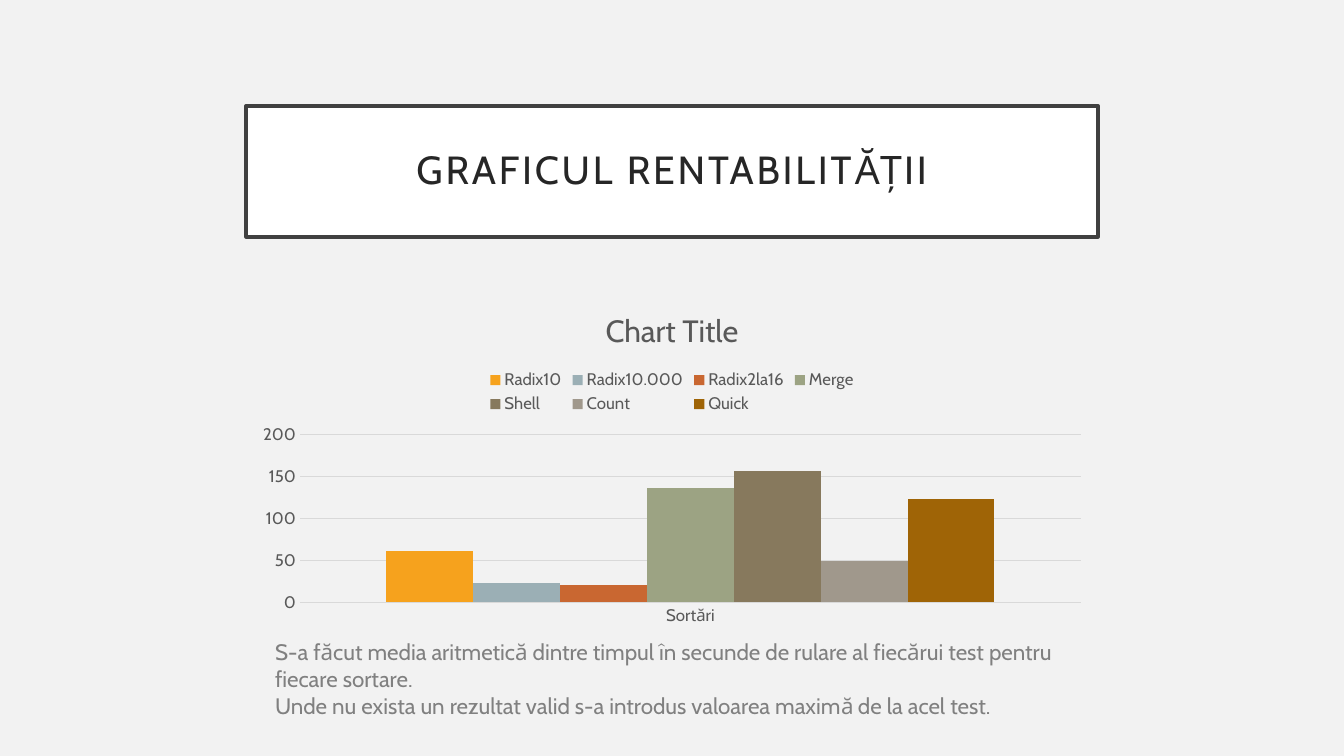
from pptx import Presentation
from pptx.chart.data import CategoryChartData
from pptx.dml.color import RGBColor
from pptx.enum.chart import XL_CHART_TYPE as ChartType
from pptx.enum.chart import XL_LEGEND_POSITION as LegendPosition
from pptx.enum.chart import XL_TICK_MARK as TickMark
from pptx.enum.text import MSO_ANCHOR as Anchor
from pptx.enum.text import PP_ALIGN as Align
from pptx.util import Inches, Pt

FONT = "Cabin"
CHART_TEXT = "595959"
CHART_LINE = "D9D9D9"
LEFT, WIDTH = 2.44, 8.45
TITLE_TOP, TITLE_HEIGHT = 1.05, 1.3
CHART_TOP, CHART_HEIGHT = 2.89, 3.39
NOTE_INDENT, NOTE_HEIGHT = 0.19, 0.94

SORTS = [
    ("Radix10", 61, "F6A21D"),
    ("Radix10.000", 23, "9BAFB5"),
    ("Radix2la16", 20, "C96731"),
    ("Merge", 136, "9CA383"),
    ("Shell", 157, "87795D"),
    ("Count", 49, "A0988C"),
    ("Quick", 123, "9F6406"),
]
EXPLANATION = [
    "S-a făcut media aritmetică dintre timpul în secunde de rulare al fiecărui test "
    "pentru fiecare sortare.",
    "Unde nu exista un rezultat valid s-a introdus valoarea maximă de la acel test.",
]


def paint(fill, color):
    fill.solid()
    fill.fore_color.rgb = RGBColor.from_string(color)


def draw_line(line, color, width):
    paint(line.fill, color)
    line.width = Pt(width)


def style_font(font, size, color):
    font.name = FONT
    font.size = Pt(size)
    font.bold = False
    font.color.rgb = RGBColor.from_string(color)


def add_title(slide, text):
    title = slide.shapes.title
    title.left, title.top = Inches(LEFT), Inches(TITLE_TOP)
    title.width, title.height = Inches(WIDTH), Inches(TITLE_HEIGHT)
    paint(title.fill, "FFFFFF")
    draw_line(title.line, "404040", 2.5)
    frame = title.text_frame
    frame.text = text
    frame.vertical_anchor = Anchor.MIDDLE
    frame.margin_left = frame.margin_right = Inches(0.2)
    frame.margin_top = frame.margin_bottom = Inches(0.2)
    paragraph = frame.paragraphs[0]
    paragraph.alignment = Align.CENTER
    paragraph.line_spacing = 0.9
    font = paragraph.runs[0].font
    style_font(font, 28, "262626")
    paragraph.runs[0]._r.get_or_add_rPr().set("spc", "200")


def style_axes(chart):
    categories, values = chart.category_axis, chart.value_axis
    for axis in (categories, values):
        axis.major_tick_mark = axis.minor_tick_mark = TickMark.NONE
        style_font(axis.tick_labels.font, 12, CHART_TEXT)
    draw_line(categories.format.line, CHART_LINE, 0.75)
    values.format.line.fill.background()
    draw_line(values.major_gridlines.format.line, CHART_LINE, 0.75)
    values.minimum_scale, values.maximum_scale, values.major_unit = 0, 200, 50
    values.tick_labels.number_format = "#,##0"
    values.tick_labels.number_format_is_linked = False


def add_sort_chart(slide, title):
    data = CategoryChartData()
    data.categories = ["Sortări"]
    for name, seconds, _ in SORTS:
        data.add_series(name, [seconds])
    chart = slide.shapes.add_chart(
        ChartType.COLUMN_CLUSTERED, Inches(LEFT), Inches(CHART_TOP),
        Inches(WIDTH), Inches(CHART_HEIGHT), data).chart
    style_font(chart.font, 10, "000000")

    chart.has_title = True
    chart.chart_title.text_frame.text = title
    chart.chart_title.include_in_layout = False
    style_font(chart.chart_title.text_frame.paragraphs[0].runs[0].font, 22, CHART_TEXT)

    chart.has_legend = True
    chart.legend.position = LegendPosition.TOP
    chart.legend.include_in_layout = False
    style_font(chart.legend.font, 12, CHART_TEXT)

    style_axes(chart)
    plot = chart.plots[0]
    plot.vary_by_categories = False
    plot.gap_width = 199
    plot.overlap = 0
    for series, (_, _, color) in zip(plot.series, SORTS):
        paint(series.format.fill, color)


def add_explanation(slide, lines):
    box = slide.shapes.add_textbox(
        Inches(LEFT + NOTE_INDENT), Inches(CHART_TOP + CHART_HEIGHT),
        Inches(WIDTH - NOTE_INDENT), Inches(NOTE_HEIGHT))
    frame = box.text_frame
    frame.word_wrap = True
    frame.text = "\n".join(lines)
    for paragraph in frame.paragraphs:
        style_font(paragraph.runs[0].font, 16, "808080")


def main():
    presentation = Presentation()
    presentation.slide_width = Inches(13.33)
    presentation.slide_height = Inches(7.5)
    slide = presentation.slides.add_slide(presentation.slide_layouts.get_by_name("Title Only"))
    paint(slide.background.fill, "F2F2F2")
    add_title(slide, "GRAFICUL RENTABILITĂȚII")
    add_sort_chart(slide, "Chart Title")
    add_explanation(slide, EXPLANATION)
    presentation.save("out.pptx")


if __name__ == "__main__":
    main()
